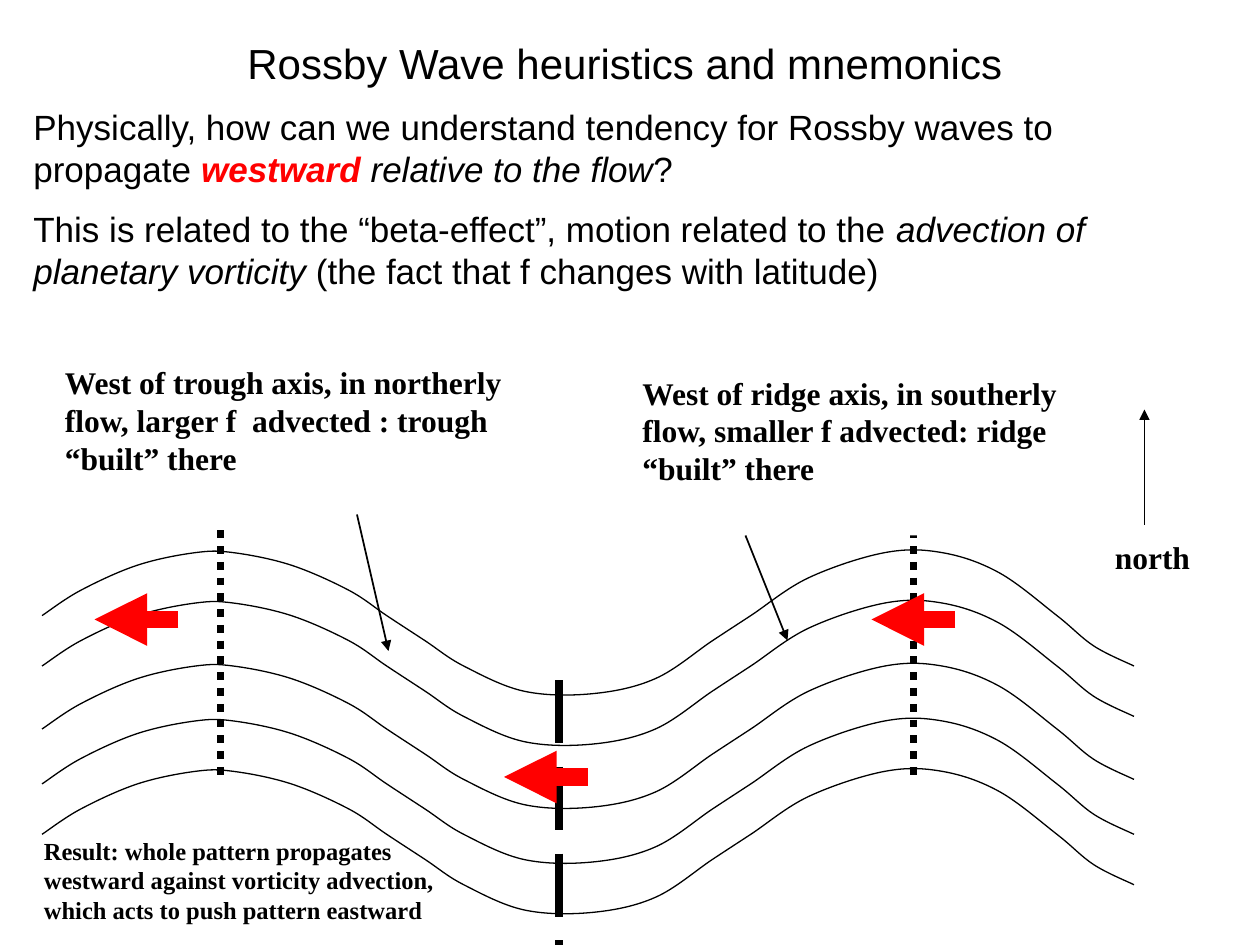
from dataclasses import dataclass

from lxml import etree
from pptx import Presentation
from pptx import util as u
from pptx.dml import color
from pptx.enum import dml, shapes, text
from pptx.oxml import ns

Pt = u.Pt


@dataclass(frozen=True)
class Theme:
    black: str = "000000"
    white: str = "FFFFFF"
    red: str = "FF0000"
    sans: str = "Arial"
    serif: str = "Times New Roman"
    title: float = 24
    body: float = 20
    label: float = 18
    result: float = 14
    thin: float = 0.75
    pointer: float = 1
    axis: float = 4.5
    arrow: float = 10


THEME = Theme()

# One streamline: x within the wave box, y from the level where it starts
WAVE_KNOTS = [
    (0, 0), (22, -14.4), (54.5, -28.8), (87.5, -36), (109.5, -36),
    (142.5, -28.8), (175.5, -14.4), (197, 0), (219, 14.4), (241, 28.8),
    (275.5, 43.2), (314.5, 44.6), (350.5, 36), (383, 14.4), (405, 0),
    (438, -21.6), (481.5, -36), (514.5, -36), (547, -24.5), (580, 0),
    (601, 17.3), (624, 28.8),
]
WAVE_LEVELS = [57.8, 86.6, 122.6, 154, 182.8]


def rgb(value):
    return color.RGBColor.from_string(value)


def add_runs(paragraph, runs, size, font, align=text.PP_ALIGN.LEFT, before=0):
    """Fill a paragraph with (text, format) runs."""
    paragraph.alignment = align
    paragraph.space_before = Pt(before)
    for words, style in runs:
        run = paragraph.add_run()
        run.text = words
        run.font.size = Pt(size)
        run.font.name = font
        run.font.bold = style.get("bold", False)
        run.font.italic = style.get("italic", False)
        run.font.color.rgb = rgb(style.get("color", THEME.black))


def add_text(slide, box, words, size=THEME.label, font=THEME.serif, fill=None, **style):
    """Place a text box, or a filled rectangle when a fill is given."""
    lengths = [Pt(value) for value in box]
    if fill:
        shape = slide.shapes.add_shape(shapes.MSO_SHAPE.RECTANGLE, *lengths)
        shape.shadow.inherit = False
        shape.fill.solid()
        shape.fill.fore_color.rgb = rgb(fill)
        shape.line.fill.background()
    else:
        shape = slide.shapes.add_textbox(*lengths)
    frame = shape.text_frame
    frame.word_wrap = True
    frame.vertical_anchor = text.MSO_ANCHOR.TOP
    if words:
        add_runs(frame.paragraphs[0], [(words, style)], size, font)
    return frame


def add_line(parent, start, end, width, line_color=THEME.black, dash=None, arrow=False):
    connector = parent.shapes.add_connector(
        shapes.MSO_CONNECTOR.STRAIGHT, *[Pt(value) for value in (*start, *end)])
    connector.line.width = Pt(width)
    connector.line.color.rgb = rgb(line_color)
    if dash:
        connector.line.dash_style = dash
    if arrow:
        etree.SubElement(connector.line._get_or_add_ln(), ns.qn("a:tailEnd"), type="triangle")
    etree.SubElement(connector._element.spPr, ns.qn("a:effectLst"))


def smooth_outline(shape):
    """Turn the straight segments of a freeform into Catmull-Rom curves."""
    outline = shape._element.find(".//" + ns.qn("a:path"))
    knots = [(int(point.get("x")), int(point.get("y")))
             for point in outline.iter(ns.qn("a:pt"))]
    padded = [knots[0], *knots, knots[-1]]
    segments = outline.findall(ns.qn("a:lnTo"))
    for segment, a, b, c, d in zip(segments, padded, padded[1:], padded[2:], padded[3:]):
        first = [q + (r - p) / 6 for p, q, r in zip(a, b, c)]
        second = [r - (s - q) / 6 for q, r, s in zip(b, c, d)]
        curve = etree.Element(ns.qn("a:cubicBezTo"))
        for x, y in (first, second, c):
            etree.SubElement(curve, ns.qn("a:pt"), x=str(round(x)), y=str(round(y)))
        outline.replace(segment, curve)


def add_heading(slide, box):
    frame = add_text(slide, box, "")
    title, question, answer = [frame.paragraphs[0], frame.add_paragraph(), frame.add_paragraph()]
    add_runs(title, [("Rossby Wave heuristics and mnemonics", {})],
             THEME.title, THEME.sans, align=text.PP_ALIGN.CENTER)
    add_runs(question, [
        ("Physically, how can we understand tendency for Rossby waves to propagate ", {}),
        ("westward ", {"bold": True, "italic": True, "color": THEME.red}),
        ("relative to the flow", {"italic": True}),
        ("?", {}),
    ], THEME.body, THEME.sans, before=10)
    add_runs(answer, [
        ("This is related to the “beta-effect”, motion related to the ", {}),
        ("advection of planetary vorticity", {"italic": True}),
        (" (the fact that f changes with latitude)", {}),
    ], THEME.body, THEME.sans, before=10)


def add_wave(slide, box):
    left, top, width, height = box
    # Streamlines and the trough axis
    group = slide.shapes.add_group_shape()
    for level in WAVE_LEVELS:
        points = [(Pt(left + x), Pt(top + level + y)) for x, y in WAVE_KNOTS]
        builder = group.shapes.build_freeform(*points[0])
        builder.add_line_segments(points[1:], close=False)
        streamline = builder.convert_to_shape()
        smooth_outline(streamline)
        streamline.shadow.inherit = False
        streamline.fill.background()
        streamline.line.color.rgb = rgb(THEME.black)
        streamline.line.width = Pt(THEME.thin)
    trough = left + 295.5
    add_line(group, (trough, top + 94.6), (trough, top + height), THEME.axis,
             dash=dml.MSO_LINE.LONG_DASH)
    # Ridge axes
    for ridge in (left + 102, left + 498):
        add_line(slide, (ridge, top), (ridge, top + 151), THEME.axis,
                 dash=dml.MSO_LINE.ROUND_DOT)


def add_explanation(slide, box, words, pointer_start, pointer_end):
    """White label with a pointer, whose ends are measured from the label's corner."""
    left, top = box[:2]
    add_text(slide, box, words, fill=THEME.white, bold=True)
    start, end = [(left + x, top + y) for x, y in (pointer_start, pointer_end)]
    add_line(slide, start, end, THEME.pointer, arrow=True)


def add_north(slide, box):
    left, top, width, height = box
    add_line(slide, (left + 24, top + 66), (left + 24, top), THEME.thin, arrow=True)
    add_text(slide, (left, top + 70, width, height - 70), "north", bold=True)


def add_westward_arrows(slide, box):
    left, top = box[:2]
    for x, y in ((498, 60), (288, 150), (54, 60)):
        add_line(slide, (left + x + 24, top + y), (left + x - 24, top + y),
                 THEME.arrow, line_color=THEME.red, arrow=True)


def main():
    presentation = Presentation()
    presentation.slide_width, presentation.slide_height = Pt(720), Pt(540)
    slide = presentation.slides.add_slide(presentation.slide_layouts[6])
    wave_box = (24, 294, 624, 246)

    add_heading(slide, (12, 18, 690, 158))
    add_wave(slide, wave_box)
    add_explanation(
        slide, (30, 204, 276, 96),
        "West of trough axis, in northerly flow, larger f  advected : trough “built” there",
        (174, 90), (192, 168))
    add_explanation(
        slide, (360, 210, 264, 96),
        "West of ridge axis, in southerly flow, smaller f advected: ridge “built” there",
        (66, 96), (90, 156))
    add_north(slide, (630, 234, 66, 102))
    add_text(slide, (18, 474, 258, 54),
             "Result: whole pattern propagates westward against vorticity advection, "
             "which acts to push pattern eastward", size=THEME.result, bold=True)
    # Arrow centres: 546, 336 and 150 less the box's left edge
    add_westward_arrows(slide, wave_box)
    presentation.save("out.pptx")


if __name__ == "__main__":
    main()
